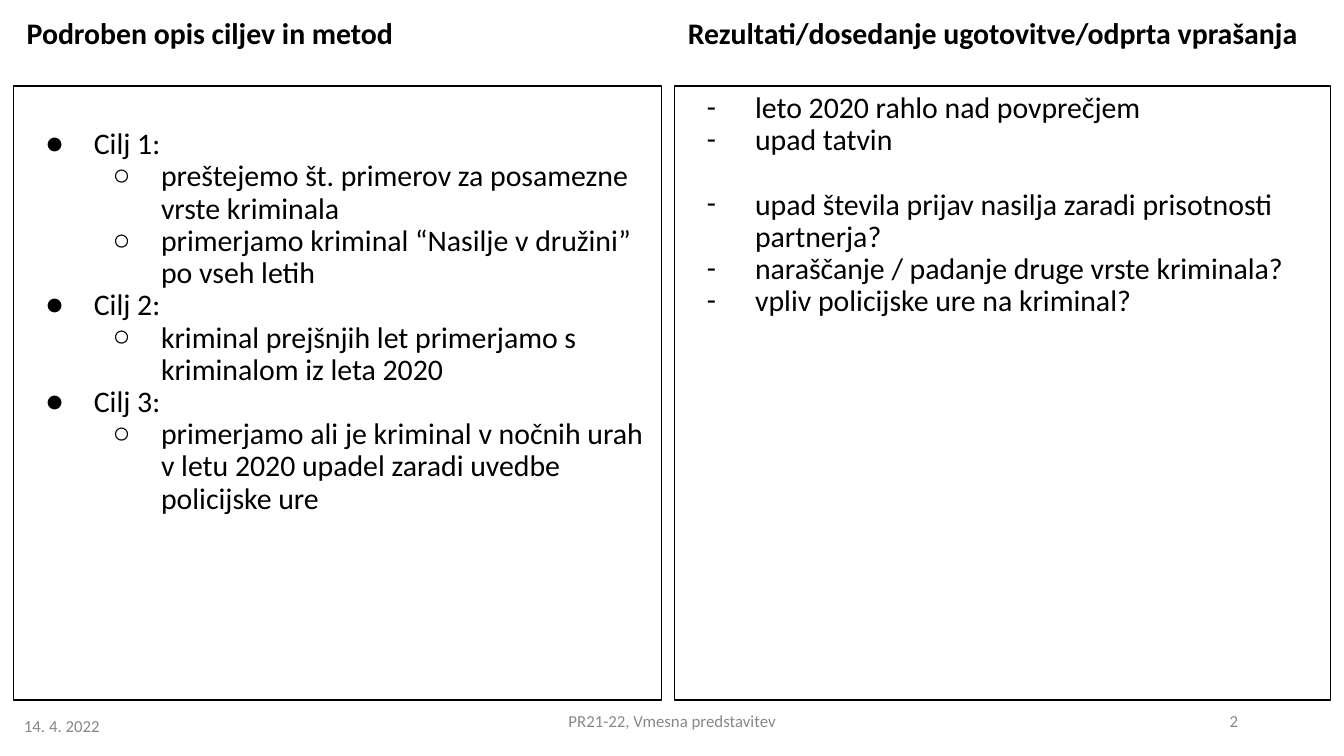
from lxml.etree import SubElement
from pptx import Presentation
from pptx.dml.color import RGBColor
from pptx.enum.shapes import MSO_SHAPE
from pptx.enum.text import MSO_ANCHOR, PP_ALIGN
from pptx.oxml.ns import qn
from pptx.util import Inches, Pt

BLACK, GREY = "000000", "888888"
LINE_SPACING = 0.9
BLANK_LINE = 17.3  # points, height of one line of body text
BULLET_FONTS = {"●": "Calibri", "○": "Arial", "-": "Calibri"}


def style(paragraph, size, color, bold=False):
    for run in paragraph.runs:
        run.font.name = "Calibri"
        run.font.size = Pt(size)
        run.font.bold = bold
        run.font.color.rgb = RGBColor.from_string(color)


def add_bullet(paragraph, character, level):
    """Give the paragraph a hanging bullet, indented half an inch per level."""
    paragraph.level = level
    properties = paragraph._p.get_or_add_pPr()
    properties.set("marL", str(Inches(0.5 * (level + 1))))
    properties.set("indent", str(Inches(-0.36)))
    bullet_color = SubElement(properties, qn("a:buClr"))
    SubElement(bullet_color, qn("a:srgbClr"), val=BLACK)
    SubElement(properties, qn("a:buFont"), typeface=BULLET_FONTS[character])
    SubElement(properties, qn("a:buChar"), char=character)


presentation = Presentation()
presentation.slide_width = Inches(10)
presentation.slide_height = Inches(10 * 9 / 16)
slide = presentation.slides.add_slide(presentation.slide_layouts[6])

# Each item: bullet, level, space before in points, text
goals = [
    ("●", 0, 0, "Cilj 1:"),
    ("○", 1, 0, "preštejemo št. primerov za posamezne vrste kriminala"),
    ("○", 1, 0, "primerjamo kriminal “Nasilje v družini” po vseh letih"),
    ("●", 0, 0, "Cilj 2:"),
    ("○", 1, 0, "kriminal prejšnjih let primerjamo s kriminalom iz leta 2020"),
    ("●", 0, 0, "Cilj 3:"),
    ("○", 1, 0, "primerjamo ali je kriminal v nočnih urah v letu 2020 upadel "
                "zaradi uvedbe policijske ure"),
]
results = [
    ("-", 0, 0, "leto 2020 rahlo nad povprečjem"),
    ("-", 0, 0, "upad tatvin"),
    ("-", 0, BLANK_LINE, "upad števila prijav nasilja zaradi prisotnosti partnerja?"),
    ("-", 0, 0, "naraščanje / padanje druge vrste kriminala?"),
    ("-", 0, 0, "vpliv policijske ure na kriminal?"),
]

# Two columns: heading above a framed list
columns = [
    (0.1, 4.82, 0.32, "Podroben opis ciljev in metod", goals),
    (5.02, 4.88, 0.05, "Rezultati/dosedanje ugotovitve/odprta vprašanja", results),
]
for left, width, top_margin, title, items in columns:
    heading = slide.shapes.add_textbox(Inches(left), Inches(0.09), Inches(width), Inches(0.41))
    heading.text_frame.word_wrap = True
    paragraph = heading.text_frame.paragraphs[0]
    paragraph.text = title
    paragraph.line_spacing = LINE_SPACING
    style(paragraph, 16, BLACK, bold=True)

    panel = slide.shapes.add_shape(
        MSO_SHAPE.RECTANGLE, Inches(left), Inches(0.64), Inches(width), Inches(4.57))
    panel.shadow.inherit = False
    panel.fill.background()
    panel.line.color.rgb = RGBColor.from_string(BLACK)
    panel.line.width = Pt(0.75)

    frame = panel.text_frame
    frame.word_wrap = True
    frame.vertical_anchor = MSO_ANCHOR.TOP
    frame.margin_top = Inches(top_margin)
    frame.text = "\n".join(text for *_, text in items)
    for paragraph, (character, level, space, _) in zip(frame.paragraphs, items):
        paragraph.alignment = PP_ALIGN.LEFT
        paragraph.line_spacing = LINE_SPACING
        paragraph.space_before = Pt(space)
        add_bullet(paragraph, character, level)
        style(paragraph, 16, BLACK)

# Footer: date, title and slide number
footers = [
    (0.08, 5.25, 4.11, PP_ALIGN.LEFT, "14. 4. 2022"),
    (3.31, 5.21, 3.38, PP_ALIGN.CENTER, "PR21-22, Vmesna predstavitev"),
    (7.06, 5.21, 2.25, PP_ALIGN.RIGHT, "2"),
]
for left, top, width, alignment, text in footers:
    footer = slide.shapes.add_textbox(Inches(left), Inches(top), Inches(width), Inches(0.3))
    footer.text_frame.word_wrap = True
    footer.text_frame.vertical_anchor = MSO_ANCHOR.MIDDLE
    paragraph = footer.text_frame.paragraphs[0]
    paragraph.text = text
    paragraph.alignment = alignment
    style(paragraph, 9, GREY)

presentation.save("out.pptx")
